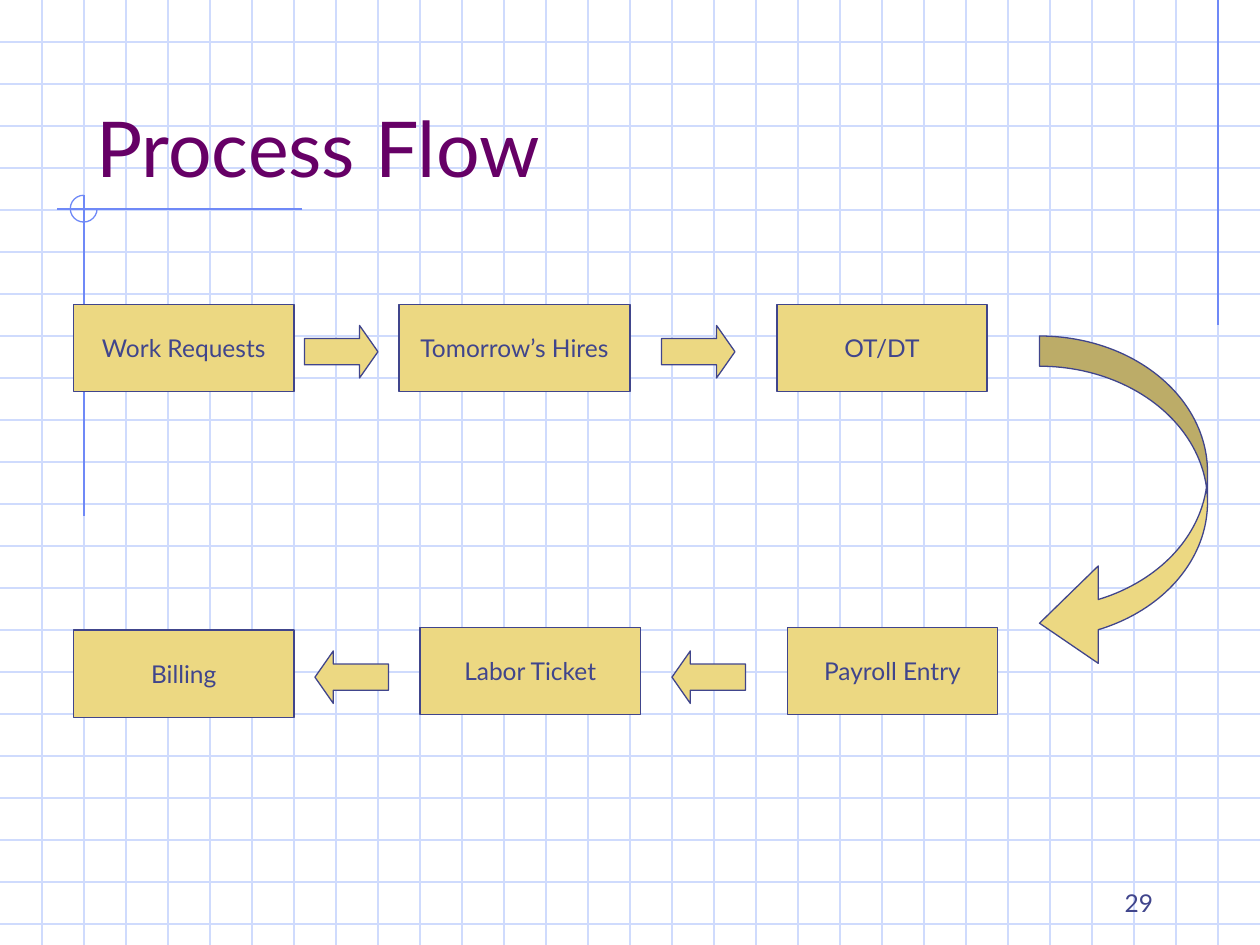
from lxml.etree import SubElement
from pptx import Presentation
from pptx.dml.color import RGBColor
from pptx.enum.shapes import MSO_CONNECTOR, MSO_SHAPE
from pptx.enum.text import MSO_ANCHOR, PP_ALIGN
from pptx.oxml.ns import qn
from pptx.util import Inches, Pt

GRID = RGBColor(0xCF, 0xDB, 0xFD)
ACCENT = RGBColor(0x6F, 0x89, 0xF7)
PURPLE = RGBColor(0x66, 0x00, 0x66)
INDIGO = RGBColor(0x40, 0x45, 0x8C)
GOLD = RGBColor(0xEC, 0xD8, 0x82)

# Positions count units of 1/12 inch; the ruled paper has a line every 4 units
COLS, ROWS, STEP = 120, 90, 4
BOX_H = 8.3
ARROW_W, ARROW_H = 7, 5


def units(*values):
    return [Inches(v / 12) for v in values]


def add_line(s, x1, y1, x2, y2, color):
    ln = s.shapes.add_connector(MSO_CONNECTOR.STRAIGHT, *units(x1, y1, x2, y2))
    ln.line.color.rgb = color
    ln.line.width = Pt(0.75)
    SubElement(ln._element.spPr, qn("a:effectLst"))


def set_text(sp, text, size, color, align, anchor, wrap=True):
    tf = sp.text_frame
    for name, value in {"word_wrap": wrap, "vertical_anchor": anchor}.items():
        setattr(tf, name, value)
    p = tf.paragraphs[0]
    p.alignment = align
    r = p.add_run()
    r.text = text
    for name, value in {"name": "Lato", "size": Pt(size)}.items():
        setattr(r.font, name, value)
    r.font.color.rgb = color


def add_label(s, x, y, w, h, *fmt):
    set_text(s.shapes.add_textbox(*units(x, y, w, h)), *fmt)


def add_figure(s, kind, x, y, w, h, adj=(), fill=GOLD, line=INDIGO):
    sp = s.shapes.add_shape(kind, *units(x, y, w, h))
    sp.shadow.inherit = False
    for i, value in enumerate(adj):
        sp.adjustments[i] = value
    if fill is None:
        sp.fill.background()
    else:
        sp.fill.solid()
        sp.fill.fore_color.rgb = fill
    sp.line.color.rgb = line
    sp.line.width = Pt(0.75)
    return sp


def add_step(s, text, x, y, w):
    sp = add_figure(s, MSO_SHAPE.FLOWCHART_PROCESS, x, y, w, BOX_H)
    set_text(sp, text, 14, INDIGO, PP_ALIGN.CENTER, MSO_ANCHOR.MIDDLE, False)


def add_paper(s):
    for y in range(STEP, ROWS, STEP):
        add_line(s, 0, y, COLS, y, GRID)
    for x in range(STEP, COLS, STEP):
        add_line(s, x, 0, x, ROWS, GRID)


def add_accents(s):
    for ends in ((116, 0, 116, 31), (28.8, 19.9, 5.4, 19.9), (8, 18.6, 8, 49.1)):
        add_line(s, *ends, ACCENT)
    # Three quarters of a circle, open at the upper right
    add_figure(s, MSO_SHAPE.ARC, 6.7, 18.6, 2.55, 2.55, (0, 162), None, ACCENT)


def main():
    prs = Presentation()
    prs.slide_width, prs.slide_height = units(COLS, ROWS)
    s = prs.slides.add_slide(prs.slide_layouts[6])

    # Ruled paper, margin lines and title
    add_paper(s)
    add_accents(s)
    add_label(s, 8, 4, 102, 15, "Process Flow", 44, PURPLE,
              PP_ALIGN.LEFT, MSO_ANCHOR.BOTTOM)

    # Steps in the order of the process
    for step in (("Work Requests", 7, 29, 21),
                 ("Tomorrow’s Hires", 38, 29, 22),
                 ("OT/DT", 74, 29, 20),
                 ("Payroll Entry", 75, 59.75, 20),
                 ("Labor Ticket", 40, 59.75, 21),
                 ("Billing", 7, 60, 21)):
        add_step(s, *step)

    # Arrows between steps, and the turn from the upper row to the lower
    for kind, y, lefts in ((MSO_SHAPE.RIGHT_ARROW, 31, (29, 63)),
                           (MSO_SHAPE.LEFT_ARROW, 62, (64, 30))):
        for x in lefts:
            add_figure(s, kind, x, y, ARROW_W, ARROW_H, (0.5, 0.35))
    add_figure(s, MSO_SHAPE.CURVED_LEFT_ARROW, 99, 32, 16, 32, (0.18, 0.58, 0.35))

    # Page number
    add_label(s, 86, 82, 25, 6, "29", 14, INDIGO,
              PP_ALIGN.RIGHT, MSO_ANCHOR.BOTTOM)

    prs.save("out.pptx")


if __name__ == "__main__":
    main()
